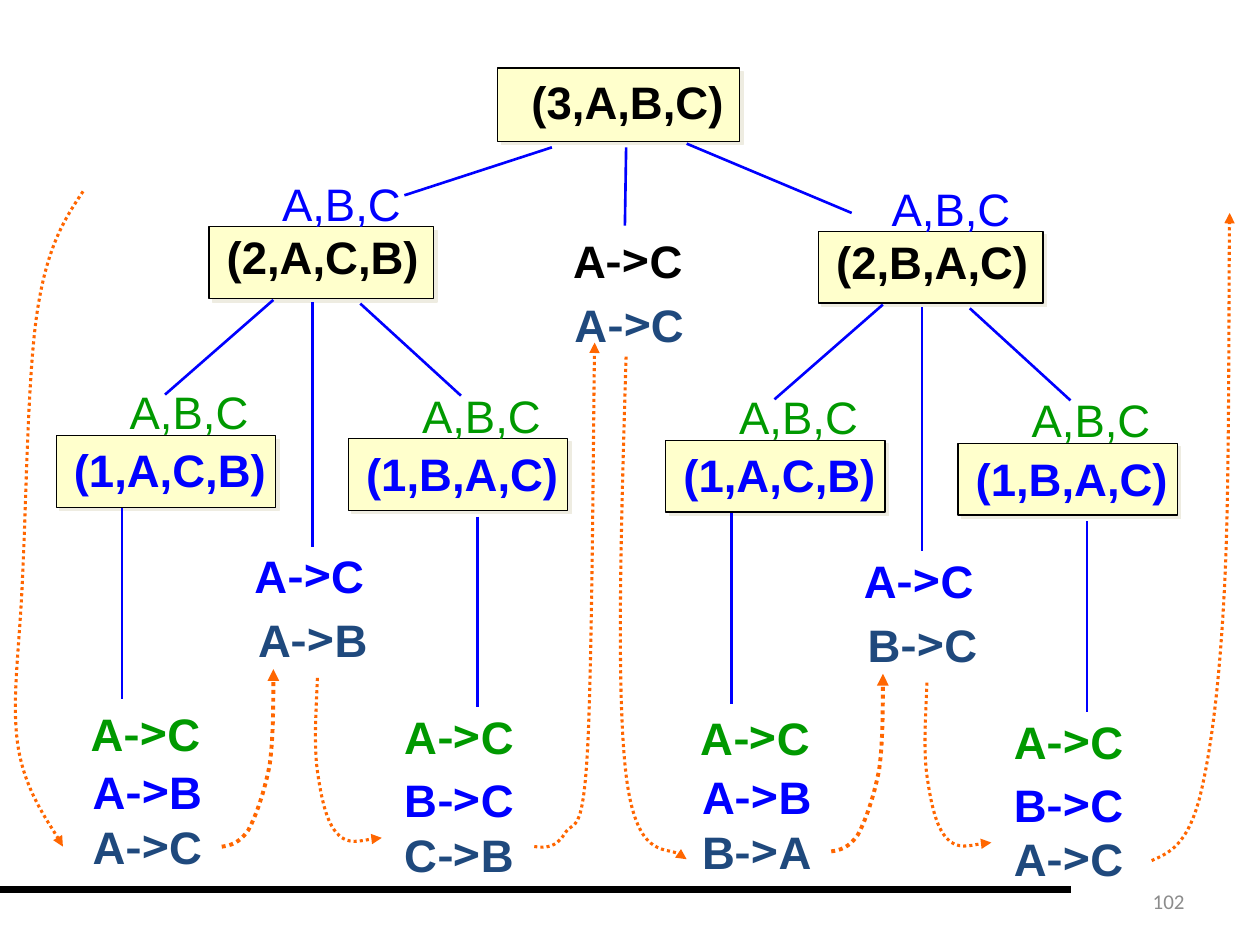
from dataclasses import dataclass, replace

from lxml.etree import SubElement
from pptx import Presentation
from pptx.dml.color import RGBColor
from pptx.enum.dml import MSO_LINE
from pptx.enum.shapes import MSO_CONNECTOR, MSO_SHAPE
from pptx.enum.text import MSO_ANCHOR, MSO_AUTO_SIZE, PP_ALIGN
from pptx.oxml.ns import qn
from pptx.util import Pt

BLACK, BLUE, GREEN, NAVY = "000000", "0000FF", "009900", "1F497D"
ORANGE, CREAM, SHADOW, GREY = "FF6600", "FFFFCC", "EEECE1", "8C8C8C"
LETTER_FONT, ARROW_FONT = "Arial", "Noto Sans CJK SC"
Point = tuple[float, float]


@dataclass(frozen=True)
class Call:
    text: str
    color: str
    box: tuple[float, float, float, float]
    text_at: Point


@dataclass(frozen=True)
class Moves:
    lines: tuple[tuple[str, str], ...]
    at: Point


@dataclass(frozen=True)
class Pegs:
    color: str
    at: Point


@dataclass(frozen=True)
class Curve:
    """A start point followed by three control points per Bezier segment."""
    points: tuple[Point, ...]
    width: float = 1.75


@dataclass(frozen=True)
class Subtree:
    shift: Point
    call: str
    middle_move: str
    left_moves: tuple[str, str]
    right_moves: tuple[str, str]


def moved(point: Point, shift: Point) -> Point:
    return point[0] + shift[0], point[1] + shift[1]


def rgb(color: str) -> RGBColor:
    return RGBColor.from_string(color)


def add_run(paragraph, text: str, color: str, size: float = 26,
            bold: bool = False, font: str = LETTER_FONT) -> None:
    run = paragraph.add_run()
    run.text = text
    run.font.name, run.font.size, run.font.bold = font, Pt(size), bold
    run.font.color.rgb = rgb(color)


def add_text_frame(slide, at: Point, width: float, height: float, wrap: bool):
    shape = slide.shapes.add_textbox(*map(Pt, (*at, width, height)))
    frame = shape.text_frame
    frame.word_wrap = wrap
    frame.auto_size = MSO_AUTO_SIZE.SHAPE_TO_FIT_TEXT
    return frame


def draw_call(slide, call: Call) -> None:
    shape = slide.shapes.add_shape(MSO_SHAPE.RECTANGLE, *map(Pt, call.box))
    shape.fill.solid()
    shape.fill.fore_color.rgb = rgb(CREAM)
    shape.line.color.rgb = rgb(BLACK)
    shape.line.width = Pt(0.75)
    shape.shadow.inherit = False
    effects = shape._element.spPr.find(qn("a:effectLst"))
    shadow = SubElement(effects, qn("a:outerShdw"), dist=str(Pt(2.8)),
                        dir="2700000", algn="ctr", rotWithShape="0")
    SubElement(shadow, qn("a:srgbClr"), val=SHADOW)
    frame = add_text_frame(slide, call.text_at, 145.4, 38.2, True)
    add_run(frame.paragraphs[0], call.text, call.color, bold=True)


def draw_pegs(slide, pegs: Pegs) -> None:
    frame = add_text_frame(slide, pegs.at, 82.8, 38.2, False)
    add_run(frame.paragraphs[0], "A,B,C", pegs.color)


def draw_moves(slide, moves: Moves) -> None:
    """Write each two-letter move as letter, arrow, letter."""
    height = 7 + 31.4 * len(moves.lines)
    frame = add_text_frame(slide, moves.at, 77.8, height, False)
    for index, ((source, target), color) in enumerate(moves.lines):
        paragraph = frame.add_paragraph() if index else frame.paragraphs[0]
        add_run(paragraph, source, color, bold=True)
        add_run(paragraph, "->", color, bold=True, font=ARROW_FONT)
        add_run(paragraph, target, color, bold=True)


def draw_line(slide, start: Point, end: Point, color: str = BLUE,
              width: float = 1.5) -> None:
    line = slide.shapes.add_connector(MSO_CONNECTOR.STRAIGHT,
                                      *map(Pt, (*start, *end)))
    line.line.color.rgb = rgb(color)
    line.line.width = Pt(width)
    SubElement(line._element.spPr, qn("a:effectLst"))


def draw_curve(slide, curve: Curve) -> None:
    """Build the control polygon, then turn every three edges into a Bezier."""
    points = [(Pt(x), Pt(y)) for x, y in curve.points]
    builder = slide.shapes.build_freeform(*points[0])
    builder.add_line_segments(points[1:], close=False)
    shape = builder.convert_to_shape()
    outline = next(shape._element.iter(qn("a:path")))
    edges = outline.findall(qn("a:lnTo"))
    for first in range(0, len(edges), 3):
        bezier = SubElement(outline, qn("a:cubicBezTo"))
        for edge in edges[first:first + 3]:
            bezier.append(edge[0])
            outline.remove(edge)
    shape.fill.background()
    shape.shadow.inherit = False
    shape.line.color.rgb = rgb(ORANGE)
    shape.line.width = Pt(curve.width)
    shape.line.dash_style = MSO_LINE.ROUND_DOT
    SubElement(shape.line._get_or_add_ln(), qn("a:tailEnd"), type="triangle")


BRANCHES = (
    ((69.8, 290.2), (69.8, 399.6)), ((156.2, 171.4), (94.3, 225.5)),
    ((178.6, 172.8), (178.6, 312.3)), ((205.9, 173.5), (263.4, 226.1)),
    ((272.8, 295.2), (272.8, 403.9)),
)
ROOT_BRANCHES = (
    ((357.8, 84.2), (357.1, 128.9)), ((315.4, 84.2), (231.1, 111.6)),
    ((392.4, 82.1), (486.7, 121.7)),
)
CLIMB = Curve(((126.7, 483.8), (131.8, 483.1), (136.8, 481.7), (141.8, 474.5),
               (146.2, 466.6), (151.2, 452.2), (154.1, 437),
               (156.2, 421.9), (156.2, 391.7), (156.2, 382.3)), 2.25)
DESCENT = Curve(((181.4, 387.4), (180.7, 406.1), (179.3, 425.5), (181.4, 440.6),
                 (183.6, 455.8), (186.5, 470.2), (193, 476.6),
                 (198.7, 483.1), (213.8, 478.8), (218.2, 478.8)))
LONG_CURVES = (
    Curve(((305.3, 483.8), (311.8, 484.6), (317.5, 484.6), (322.6, 476.6),
           (327.6, 468), (332.6, 479.5), (335.5, 432.7),
           (338.4, 385.9), (339.1, 235.4), (339.8, 195.8))),
    Curve(((357.8, 203.8), (355, 298.8), (352.1, 394.6), (357.8, 442.8),
           (363.6, 490.3), (386.6, 483.1), (392.4, 491))),
    Curve(((47.5, 109.4), (37.4, 124.6), (27.4, 139.7), (21.6, 176.4),
           (15.8, 212.4), (15.1, 286.6), (13, 327.6),
           (11.5, 369.4), (6.5, 398.2), (10.1, 424.8),
           (13.7, 450.7), (31, 474.5), (36, 483.8))),
    Curve(((658.1, 491.8), (668.2, 487.4), (678.2, 483.1), (685.4, 456.5),
           (691.9, 430.6), (697, 391), (699.8, 334.8),
           (702.7, 279.4), (702, 157), (702.7, 121.7))),
)
SUBTREES = (
    Subtree((0, 0), "(2,A,C,B)", "AB", ("AB", "AC"), ("BC", "CB")),
    Subtree((348.3, 2.7), "(2,B,A,C)", "BC", ("AB", "BA"), ("BC", "AC")),
)


def draw_subtree(slide, tree: Subtree) -> None:
    def place(x: float, y: float) -> Point:
        return moved((x, y), tree.shift)

    calls = (
        Call(tree.call, BLACK, (*place(119.5, 129.6), 128.2, 41), place(122.4, 127.4)),
        Call("(1,A,C,B)", BLUE, (*place(32.2, 249), 125.3, 41), place(35.1, 249.1)),
        Call("(1,B,A,C)", BLUE, (*place(199.2, 250.7), 125.3, 41), place(202.1, 251.3)),
    )
    for call in calls:
        draw_call(slide, call)
    for color, at in ((BLUE, (154.1, 97.3)), (GREEN, (67, 216)), (GREEN, (234.1, 218))):
        draw_pegs(slide, Pegs(color, place(*at)))
    for start, end in BRANCHES:
        draw_line(slide, place(*start), place(*end))
    for lines, at in (
        ((("AC", GREEN),), (44.7, 399.7)),
        ((("AC", BLUE),), (138.3, 309.6)),
        ((("AC", GREEN),), (223.9, 401.8)),
        (((tree.middle_move, NAVY),), (140.4, 346.4)),
        (tuple(zip(tree.left_moves, (BLUE, NAVY))), (45.8, 433.3)),
        (tuple(zip(tree.right_moves, (BLUE, NAVY))), (223.9, 437.6)),
    ):
        draw_moves(slide, Moves(lines, place(*at)))
    for curve in (CLIMB, DESCENT):
        draw_curve(slide, replace(curve, points=tuple(
            moved(point, tree.shift) for point in curve.points)))


def main() -> None:
    presentation = Presentation()
    presentation.slide_width, presentation.slide_height = Pt(720), Pt(540)
    slide = presentation.slides.add_slide(presentation.slide_layouts[6])

    draw_line(slide, (0, 508.3), (612, 508.3), BLACK, 4.5)
    number = add_text_frame(slide, (516, 500.5), 168, 28.8, True)
    number.auto_size = MSO_AUTO_SIZE.NONE
    number.vertical_anchor = MSO_ANCHOR.MIDDLE
    number.paragraphs[0].alignment = PP_ALIGN.RIGHT
    add_run(number.paragraphs[0], "102", GREY, size=12, font="Calibri")

    draw_call(slide, Call("(3,A,B,C)", BLACK, (284.4, 38.9, 138.2, 41.8), (296.6, 38.9)))
    draw_moves(slide, Moves((("AC", BLACK),), (320.4, 129.6)))
    draw_moves(slide, Moves((("AC", NAVY),), (321.1, 166.3)))
    for start, end in ROOT_BRANCHES:
        draw_line(slide, start, end)
    for tree in SUBTREES:
        draw_subtree(slide, tree)
    for curve in LONG_CURVES:
        draw_curve(slide, curve)
    presentation.save("out.pptx")


if __name__ == "__main__":
    main()
